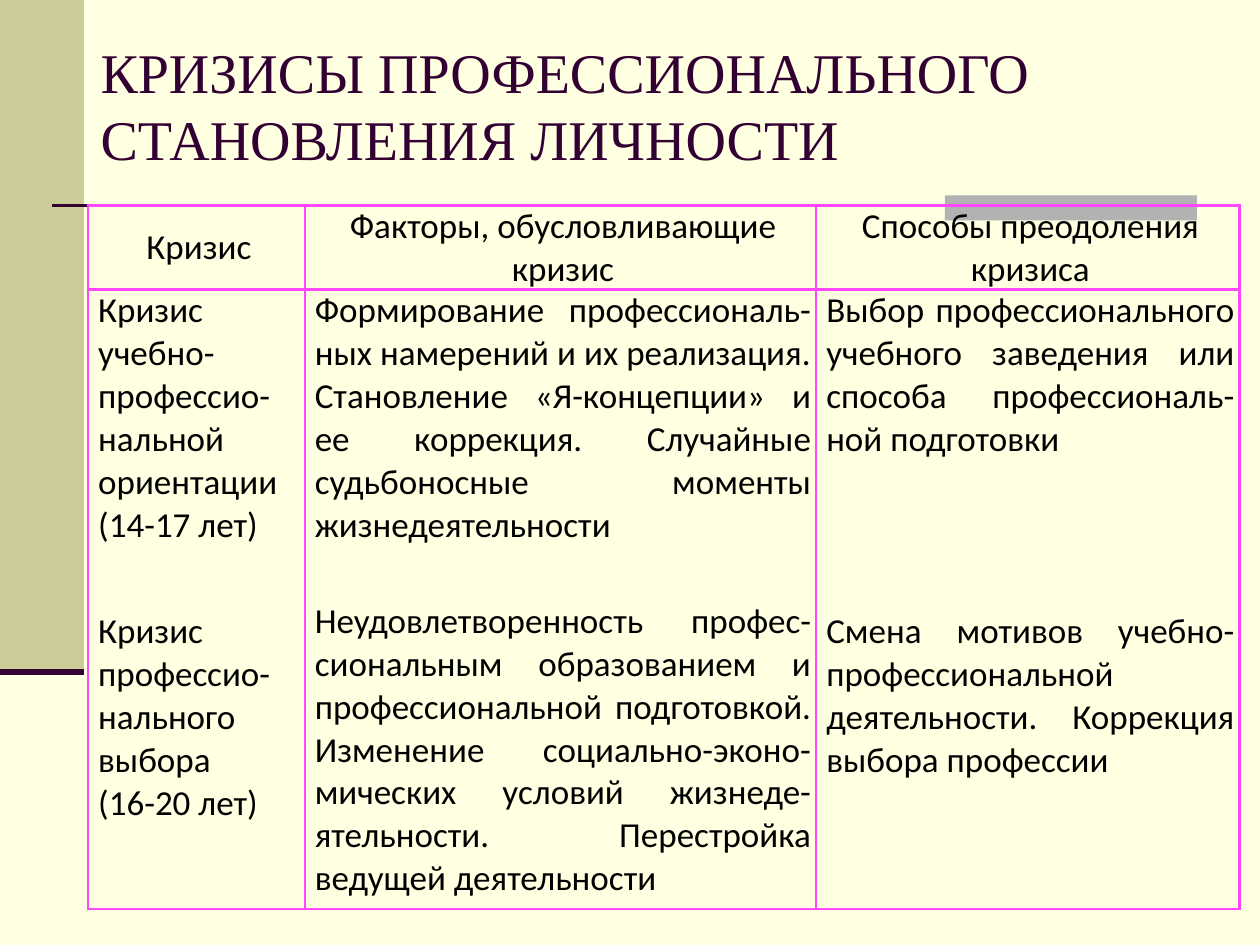
from lxml.etree import SubElement
from pptx import Presentation
from pptx.dml.color import RGBColor
from pptx.enum.shapes import MSO_CONNECTOR as Connector, MSO_SHAPE as Shape
from pptx.enum.text import MSO_ANCHOR as Anchor, PP_ALIGN as Align
from pptx.oxml import parse_xml
from pptx.oxml.ns import nsdecls, qn
from pptx.util import Pt

CREAM, KHAKI, GRAY = "FFFFE1", "CCCC99", "B2B2B2"
PLUM, PINK, BLACK = "330033", "FF47FF", "000000"

COLUMN_WIDTHS = [123.8, 292.3, 241.9]
ROW_HEIGHTS = [47.8, 354]
HEADINGS = ["Кризис", "Факторы, обусловливающие кризис", "Способы преодоления кризиса"]
CRISES = [
    "Кризис учебно-профессио-нальной ориентации (14-17 лет)",
    "Кризис профессио-нального выбора \v(16-20 лет)",
]
FACTORS = [
    "Формирование профессиональ-ных намерений и их реализация. "
    "Становление «Я-концепции» и ее коррекция. Случайные судьбоносные "
    "моменты жизнедеятельности",
    "Неудовлетворенность профес-сиональным образованием и "
    "профессиональной подготовкой. Изменение социально-эконо-мических "
    "условий жизнеде-ятельности. Перестройка ведущей деятельности",
]
SOLUTIONS = [
    "Выбор профессионального учебного заведения или способа "
    "профессиональ-ной подготовки",
    "Смена мотивов учебно-профессиональной деятельности. "
    "Коррекция выбора профессии",
]
BODY_COLUMNS = [
    (CRISES, Align.LEFT, 36.5),
    (FACTORS, Align.JUSTIFY, 30.5),
    (SOLUTIONS, Align.JUSTIFY, 85.5),
]


def color(value):
    return RGBColor.from_string(value)


def set_font(paragraph, name, size, value):
    paragraph.font.name = name
    paragraph.font.size = Pt(size)
    paragraph.font.color.rgb = color(value)


def add_block(slide, left, top, width, height, fill):
    block = slide.shapes.add_shape(Shape.RECTANGLE, Pt(left), Pt(top), Pt(width), Pt(height))
    block.shadow.inherit = False
    block.fill.solid()
    block.fill.fore_color.rgb = color(fill)
    block.line.fill.background()


def add_rule(slide, left, right, y, width):
    rule = slide.shapes.add_connector(Connector.STRAIGHT, Pt(left), Pt(y), Pt(right), Pt(y))
    rule.line.color.rgb = color(PLUM)
    rule.line.width = Pt(width)
    SubElement(rule._element.spPr, qn("a:effectLst"))


def add_title(slide, text):
    box = slide.shapes.add_textbox(Pt(50.4), Pt(16.5), Pt(656), Pt(85))
    frame = box.text_frame
    frame.word_wrap = True
    frame.vertical_anchor = Anchor.BOTTOM
    paragraph = frame.paragraphs[0]
    paragraph.text = text
    set_font(paragraph, "Times New Roman", 32, PLUM)


def set_borders(cell):
    properties = cell._tc.get_or_add_tcPr()
    for index, side in enumerate("LRTB"):
        border = parse_xml(
            f'<a:ln{side} {nsdecls("a")} w="{Pt(1.5)}"><a:solidFill>'
            f'<a:srgbClr val="{PINK}"/></a:solidFill></a:ln{side}>'
        )
        properties.insert(index, border)


def fill_cell(cell, texts, alignment, gap=0, anchor=Anchor.TOP):
    cell.fill.background()
    cell.vertical_anchor = anchor
    cell.margin_left, cell.margin_right = Pt(5.7), Pt(2.9)
    cell.margin_top = cell.margin_bottom = Pt(0)
    set_borders(cell)
    frame = cell.text_frame
    for index, text in enumerate(texts):
        paragraph = frame.add_paragraph() if index else frame.paragraphs[0]
        paragraph.text = text
        paragraph.alignment = alignment
        paragraph.space_before = Pt(gap if index else 0)
        set_font(paragraph, "Calibri", 20, BLACK)


def add_crisis_table(slide):
    frame = slide.shapes.add_table(
        2, 3, Pt(50.4), Pt(117.4), Pt(sum(COLUMN_WIDTHS)), Pt(sum(ROW_HEIGHTS))
    )
    table = frame.table
    table.first_row = table.horz_banding = False
    for column, width in zip(table.columns, COLUMN_WIDTHS):
        column.width = Pt(width)
    for row, height in zip(table.rows, ROW_HEIGHTS):
        row.height = Pt(height)
    for index, heading in enumerate(HEADINGS):
        fill_cell(table.cell(0, index), [heading], Align.CENTER, anchor=Anchor.MIDDLE)
    for index, (texts, alignment, gap) in enumerate(BODY_COLUMNS):
        fill_cell(table.cell(1, index), texts, alignment, gap)


def main():
    presentation = Presentation()
    presentation.slide_width, presentation.slide_height = Pt(720), Pt(540)
    slide = presentation.slides.add_slide(presentation.slide_layouts[6])
    slide.background.fill.solid()
    slide.background.fill.fore_color.rgb = color(CREAM)
    add_block(slide, 0, 0, 48, 384, KHAKI)
    add_block(slide, 540, 111.6, 144, 14.4, GRAY)
    add_rule(slide, 30, 684, 117.6, 1.5)
    add_rule(slide, 0, 48, 384, 3.5)
    add_title(slide, "КРИЗИСЫ ПРОФЕССИОНАЛЬНОГО СТАНОВЛЕНИЯ ЛИЧНОСТИ")
    add_crisis_table(slide)
    presentation.save("out.pptx")


main()
